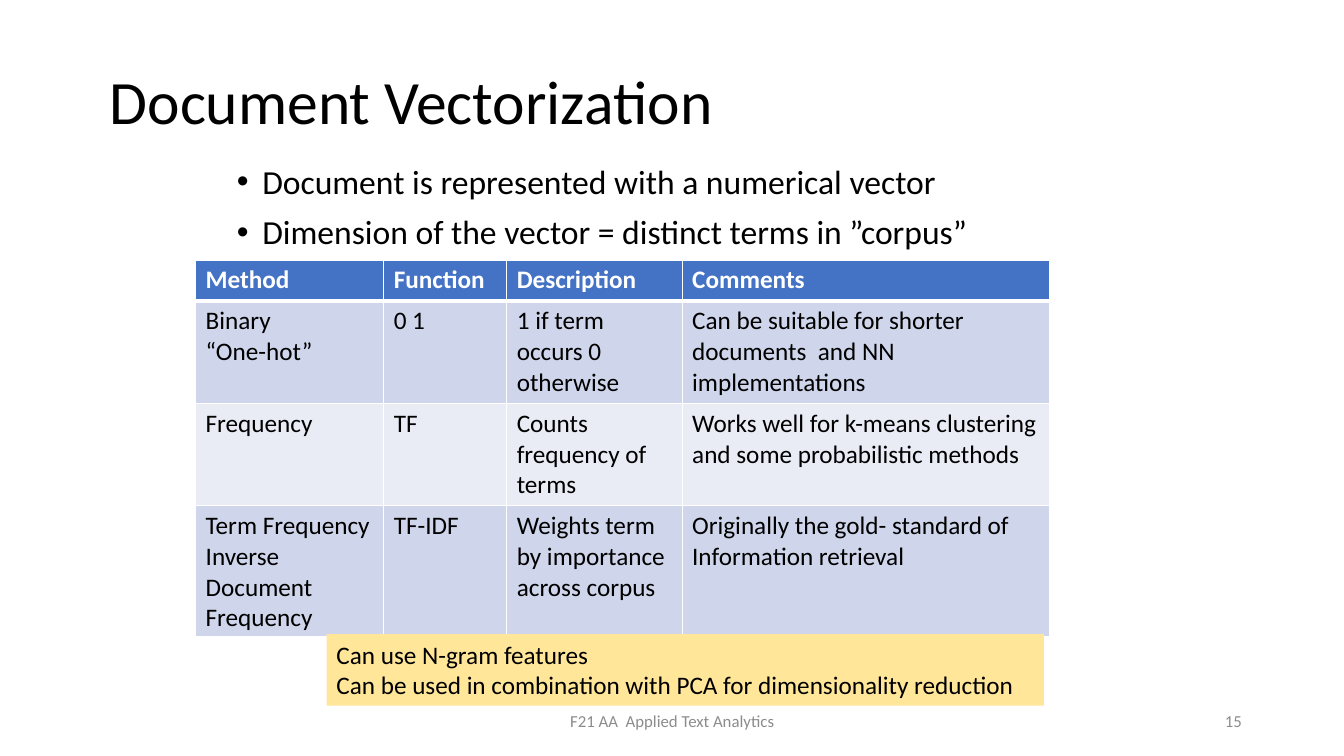
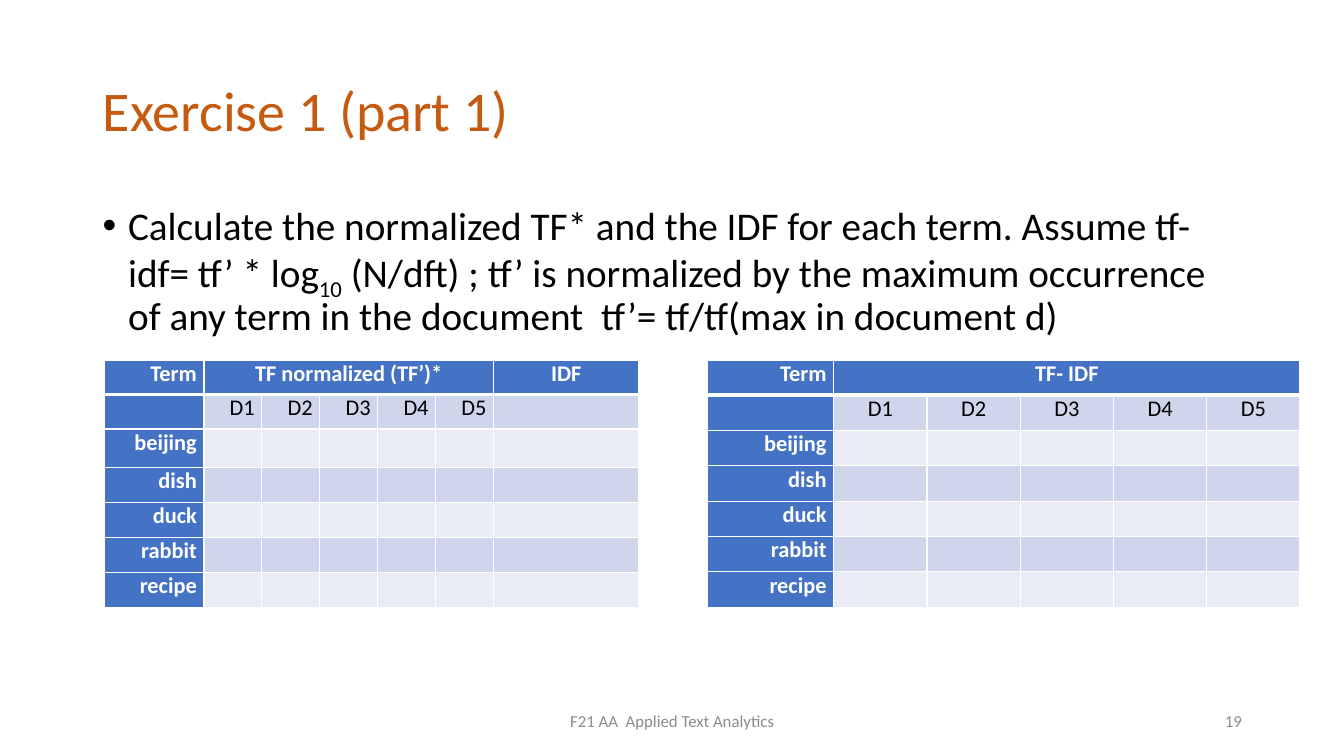
"""Build two text-analytics slides on document vectorization."""
from dataclasses import dataclass

from lxml.etree import SubElement
from pptx import Presentation
from pptx.dml.color import RGBColor
from pptx.enum.shapes import MSO_SHAPE
from pptx.enum.text import MSO_ANCHOR, MSO_AUTO_SIZE, PP_ALIGN
from pptx.oxml.ns import qn
from pptx.util import Cm, Pt


@dataclass(frozen=True)
class Theme:
    """Colours and type sizes shared by the slides."""
    font: str = "Calibri"
    text: str = "000000"
    white: str = "FFFFFF"
    muted: str = "8C8C8C"
    orange: str = "C55A11"
    header: str = "4472C4"
    bands: tuple = ("CFD5EA", "E9EBF5")
    callout: str = "FFE699"
    title_size: int = 44
    exercise_title_size: int = 40
    body_size: int = 24
    exercise_body_size: int = 28
    table_size: int = 18
    term_size: int = 16
    footer_size: int = 12
    border: float = 1
    header_border: float = 3


THEME = Theme()
FOOTER = "F21 AA  Applied Text Analytics"
FOOTER_TOP, FOOTER_HEIGHT = 17.65, 1.02
DOCUMENTS = ["D1", "D2", "D3", "D4", "D5"]
TERMS = ["beijing", "dish", "duck", "rabbit", "recipe"]
METHODS = [
    ["Method", "Function", "Description", "Comments"],
    ["Binary\n“One-hot”", "0 1", "1 if term occurs 0 otherwise",
     "Can be suitable for shorter documents  and NN implementations"],
    ["Frequency", "TF", "Counts frequency of terms",
     "Works well for k-means clustering and some probabilistic methods"],
    ["Term Frequency\nInverse\nDocument Frequency", "TF-IDF",
     "Weights term by importance\nacross corpus",
     "Originally the gold- standard of Information retrieval"],
]


def add_bullet(paragraph):
    """Give a paragraph a hanging round bullet."""
    properties = paragraph._p.get_or_add_pPr()
    indent = Cm(0.64)
    properties.set("marL", str(indent))
    properties.set("indent", str(-indent))
    SubElement(properties, qn("a:buFont"), typeface="Arial")
    SubElement(properties, qn("a:buChar"), char="•")


def write_text(frame, text, size, color=THEME.text, bold=False, align=PP_ALIGN.LEFT,
               line_spacing=None, space_before=0, bullet=False, subscript=None):
    """Write one paragraph per line, lowering the subscript where it occurs."""
    for index, line in enumerate(text.split("\n")):
        paragraph = frame.add_paragraph() if index else frame.paragraphs[0]
        paragraph.alignment = align
        paragraph.space_before = Pt(space_before)
        if line_spacing:
            paragraph.line_spacing = line_spacing
        if bullet:
            add_bullet(paragraph)
        for part in line.partition(subscript) if subscript else [line]:
            if not part:
                continue
            run = paragraph.add_run()
            run.text = part
            run.font.name = THEME.font
            run.font.size = Pt(size)
            run.font.bold = bold
            run.font.color.rgb = RGBColor.from_string(color)
            if part == subscript:
                run.font._element.set("baseline", "-25000")


def add_text(slide, box, text, size, anchor=MSO_ANCHOR.TOP, **text_format):
    """Add a wrapped text box."""
    frame = slide.shapes.add_textbox(*map(Cm, box)).text_frame
    frame.word_wrap = True
    frame.vertical_anchor = anchor
    write_text(frame, text, size, **text_format)


def add_bullets(slide, box, text, size, subscript=None):
    """Add the bulleted body of a slide."""
    add_text(slide, box, text, size, line_spacing=0.9, space_before=10,
             bullet=True, subscript=subscript)


def add_callout(slide, box, text):
    """Add a filled note."""
    shape = slide.shapes.add_shape(MSO_SHAPE.RECTANGLE, *map(Cm, box))
    shape.shadow.inherit = False
    shape.fill.solid()
    shape.fill.fore_color.rgb = RGBColor.from_string(THEME.callout)
    shape.line.fill.background()
    shape.text_frame.vertical_anchor = MSO_ANCHOR.TOP
    shape.text_frame.word_wrap = True
    write_text(shape.text_frame, text, THEME.table_size)


def add_slide(presentation, title, box, number, size, color=THEME.text):
    """Add a slide with its title, footer and number."""
    slide = presentation.slides.add_slide(presentation.slide_layouts[5])
    placeholder = slide.shapes.title
    placeholder.left, placeholder.top, placeholder.width, placeholder.height = map(Cm, box)
    frame = placeholder.text_frame
    frame.auto_size = MSO_AUTO_SIZE.NONE
    frame.vertical_anchor = MSO_ANCHOR.MIDDLE
    write_text(frame, title, size, color=color, line_spacing=0.9)
    for left, width, text, align in ((11.23, 11.43, FOOTER, PP_ALIGN.CENTER),
                                     (23.93, 7.62, str(number), PP_ALIGN.RIGHT)):
        add_text(slide, (left, FOOTER_TOP, width, FOOTER_HEIGHT), text, THEME.footer_size,
                 anchor=MSO_ANCHOR.MIDDLE, color=THEME.muted, align=align)
    return slide


def style_cell(cell, fill, top, bottom):
    """Set the borders and then the fill of a cell."""
    properties = cell._tc.get_or_add_tcPr()
    widths = {"L": THEME.border, "R": THEME.border, "T": top, "B": bottom}
    for side, width in widths.items():
        line = SubElement(properties, qn(f"a:ln{side}"), w=str(Pt(width)))
        SubElement(SubElement(line, qn("a:solidFill")), qn("a:srgbClr"), val=THEME.white)
    cell.fill.solid()
    cell.fill.fore_color.rgb = RGBColor.from_string(fill)


def add_table(slide, left, top, widths, heights, rows, size, header_column=False):
    """Add a banded table with a header row and, if asked, a header column."""
    table = slide.shapes.add_table(len(rows), len(widths), Cm(left), Cm(top),
                                   Cm(sum(widths)), Cm(sum(heights))).table
    for column, width in zip(table.columns, widths):
        column.width = Cm(width)
    for row, height in zip(table.rows, heights):
        row.height = Cm(height)
    for row_index, row in enumerate(rows):
        top_border = THEME.header_border if row_index == 1 else THEME.border
        bottom_border = THEME.header_border if row_index == 0 else THEME.border
        for column_index, text in enumerate(row):
            cell = table.cell(row_index, column_index)
            is_header = row_index == 0 or (header_column and column_index == 0)
            fill = THEME.header if is_header else THEME.bands[(row_index - 1) % 2]
            style_cell(cell, fill, top_border, bottom_border)
            write_text(cell.text_frame, text, size, bold=is_header,
                       color=THEME.white if is_header else THEME.text)
    return table


def add_term_table(slide, left, widths, heights, heading, document_align, extra=()):
    """Add an empty term-by-document grid to be filled in."""
    blanks = [""] * (len(DOCUMENTS) + len(extra))
    rows = [["Term", heading, *[""] * (len(DOCUMENTS) - 1), *extra],
            ["", *DOCUMENTS, *[""] * len(extra)],
            *[[term, *blanks] for term in TERMS]]
    table = add_table(slide, left, 9.07, widths, heights, rows, THEME.term_size,
                      header_column=True)
    for row_index in range(len(rows)):
        for column_index in range(len(widths)):
            cell = table.cell(row_index, column_index)
            cell.margin_left = cell.margin_right = Cm(0.18)
            cell.margin_top = cell.margin_bottom = 0
            if column_index == 0:
                align = PP_ALIGN.RIGHT
            else:
                align = document_align if row_index else PP_ALIGN.CENTER
            cell.text_frame.paragraphs[0].alignment = align
    table.cell(0, 1).merge(table.cell(0, len(DOCUMENTS)))


def build_vectorization(presentation):
    """Build the slide that compares the vectorization methods."""
    slide = add_slide(presentation, "Document Vectorization", (2.51, 1.24, 22.43, 2.77),
                      15, THEME.title_size)
    add_bullets(slide, (5.72, 4.04, 22.43, 2.5),
                "Document is represented with a numerical vector\n"
                "Dimension of the vector = distinct terms in ”corpus”", THEME.body_size)
    add_table(slide, 4.93, 6.55, [4.74, 3.1, 4.42, 9.26], [1.03, 2.58, 2.58, 3.3],
              METHODS, THEME.table_size)
    add_callout(slide, (8.23, 15.98, 18.08, 1.8),
                "Can use N-gram features\n"
                "Can be used in combination with PCA for dimensionality reduction")


def build_exercise(presentation):
    """Build the exercise slide with its two term grids."""
    slide = add_slide(presentation, "Exercise 1 (part 1)", (2.34, 1.02, 29.21, 3.68),
                      19, THEME.exercise_title_size, color=THEME.orange)
    add_bullets(slide, (2.34, 5.08, 29.21, 3.8),
                "Calculate the normalized TF* and the IDF for each term. Assume tf-idf= tf’ * "
                "log10 (N/dft) ; tf’ is normalized by the maximum occurrence of any term in the "
                "document  tf’= tf/tf(max in document d)",
                THEME.exercise_body_size, subscript="10")
    document_count = len(DOCUMENTS)
    add_term_table(slide, 2.62, [2.52, *[1.46] * document_count, 3.66],
                   [0.87, 0.87, 0.97, *[0.88] * 4], "TF normalized (TF’)*",
                   PP_ALIGN.RIGHT, extra=("IDF",))
    add_term_table(slide, 17.97 - 0.14, [3.18, *[2.35] * document_count],
                   [0.89] * (len(TERMS) + 2), "TF- IDF", PP_ALIGN.CENTER)


def main():
    """Create and save the presentation."""
    presentation = Presentation()
    presentation.slide_width, presentation.slide_height = Cm(33.87), Cm(19.05)
    build_vectorization(presentation)
    build_exercise(presentation)
    presentation.save("out.pptx")


if __name__ == "__main__":
    main()
